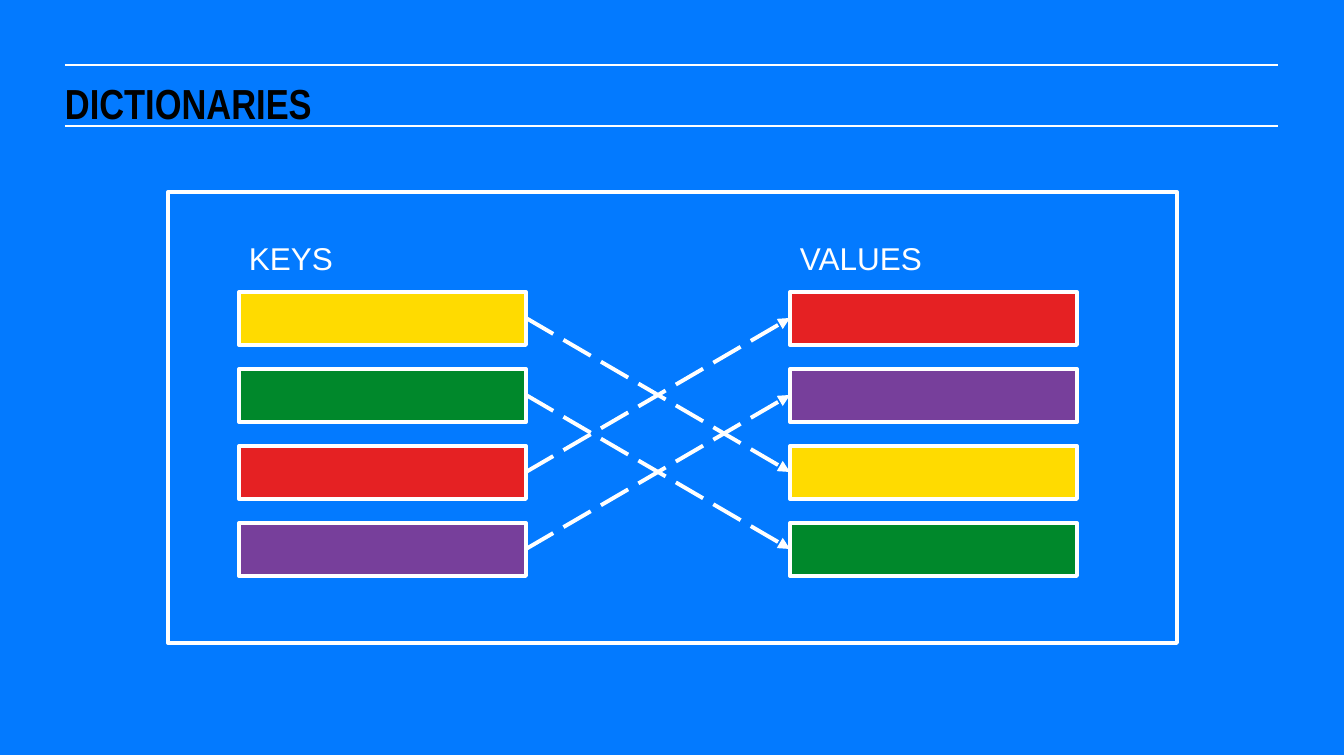
from dataclasses import dataclass

from lxml import etree
from pptx import Presentation
from pptx.dml.color import RGBColor
from pptx.enum.dml import MSO_LINE
from pptx.enum.shapes import MSO_CONNECTOR, MSO_SHAPE
from pptx.enum.text import MSO_ANCHOR
from pptx.oxml.ns import qn
from pptx.util import Emu, Pt

RECT = MSO_SHAPE.RECTANGLE
STRAIGHT = MSO_CONNECTOR.STRAIGHT
LONG_DASH = MSO_LINE.LONG_DASH
TOP, MIDDLE = MSO_ANCHOR.TOP, MSO_ANCHOR.MIDDLE
EMU_PER_PX = 9676


@dataclass(frozen=True)
class Theme:
    background: str = "037AFF"
    white: str = "FFFFFF"
    black: str = "000000"
    yellow: str = "FFDB00"
    green: str = "00882B"
    red: str = "E52123"
    purple: str = "773F9B"
    title_font: str = "Arial Narrow"
    label_font: str = "Arial"
    title_size: int = 32
    label_size: int = 24
    rule_width: int = 1
    outline_width: int = 3


@dataclass(frozen=True)
class Column:
    label: str
    left: int
    colors: tuple[str, ...]


THEME = Theme()
KEYS = Column("KEYS", 239, (THEME.yellow, THEME.green, THEME.red, THEME.purple))
VALUES = Column("VALUES", 790, (THEME.red, THEME.purple, THEME.yellow, THEME.green))
BAR_TOP, BAR_WIDTH, BAR_HEIGHT, BAR_PITCH = 292, 287, 53, 77
LABEL_TOP, LABEL_HEIGHT = 228, 64


def px(n: int) -> Emu:
    return Emu(n * EMU_PER_PX)


def rgb(color: str) -> RGBColor:
    return RGBColor.from_string(color)


def add_text(s, text: str, left: int, top: int, width: int, height: int, *,
             font: str, size: int, color: str, bold: bool = False,
             inset: int = 0, anchor=TOP, spacing: float = 1.0) -> None:
    tf = s.shapes.add_textbox(px(left), px(top), px(width), px(height)).text_frame
    tf.word_wrap = True
    tf.vertical_anchor = anchor
    tf.margin_left = tf.margin_right = tf.margin_top = tf.margin_bottom = px(inset)
    p = tf.paragraphs[0]
    p.line_spacing = spacing
    r = p.add_run()
    r.text = text
    r.font.name, r.font.size, r.font.bold = font, Pt(size), bold
    r.font.color.rgb = rgb(color)


def add_box(s, left: int, top: int, width: int, height: int, fill: str | None = None) -> None:
    sp = s.shapes.add_shape(RECT, px(left), px(top), px(width), px(height))
    sp.shadow.inherit = False
    if fill is None:
        sp.fill.background()
    else:
        sp.fill.solid()
        sp.fill.fore_color.rgb = rgb(fill)
    sp.line.color.rgb = rgb(THEME.white)
    sp.line.width = Pt(THEME.outline_width)


def add_line(s, x1: int, y1: int, x2: int, y2: int, width: int, arrow: bool = False) -> None:
    cxn = s.shapes.add_connector(STRAIGHT, px(x1), px(y1), px(x2), px(y2))
    cxn.line.color.rgb = rgb(THEME.white)
    cxn.line.width = Pt(width)
    if arrow:
        cxn.line.dash_style = LONG_DASH
        etree.SubElement(cxn.line._get_or_add_ln(), qn("a:tailEnd"), type="triangle")
    etree.SubElement(cxn._element.spPr, qn("a:effectLst"))


def bar_top(row: int) -> int:
    return BAR_TOP + row * BAR_PITCH


def add_column(s, column: Column) -> None:
    add_text(s, column.label, column.left, LABEL_TOP, BAR_WIDTH, LABEL_HEIGHT,
             font=THEME.label_font, size=THEME.label_size, color=THEME.white,
             inset=10, anchor=MIDDLE, spacing=0.9)
    for row, color in enumerate(column.colors):
        add_box(s, column.left, bar_top(row), BAR_WIDTH, BAR_HEIGHT, color)


def add_mapping(s, keys: Column, values: Column) -> None:
    middle = BAR_HEIGHT // 2
    for row, color in enumerate(keys.colors):
        target = values.colors.index(color)
        add_line(s, keys.left + BAR_WIDTH, bar_top(row) + middle,
                 values.left, bar_top(target) + middle, THEME.outline_width, arrow=True)


def main() -> None:
    prs = Presentation()
    prs.slide_width, prs.slide_height = px(1344), px(755)
    s = prs.slides.add_slide(prs.slide_layouts[6])
    s.background.fill.solid()
    s.background.fill.fore_color.rgb = rgb(THEME.background)
    for y in (65, 126):
        add_line(s, 65, y, 1278, y, THEME.rule_width)
    add_text(s, "DICTIONARIES", 65, 77, 1050, 44, font=THEME.title_font,
             size=THEME.title_size, color=THEME.black, bold=True)
    for column in (KEYS, VALUES):
        add_column(s, column)
    add_mapping(s, KEYS, VALUES)
    add_box(s, 168, 192, 1009, 451)
    prs.save("out.pptx")


if __name__ == "__main__":
    main()
